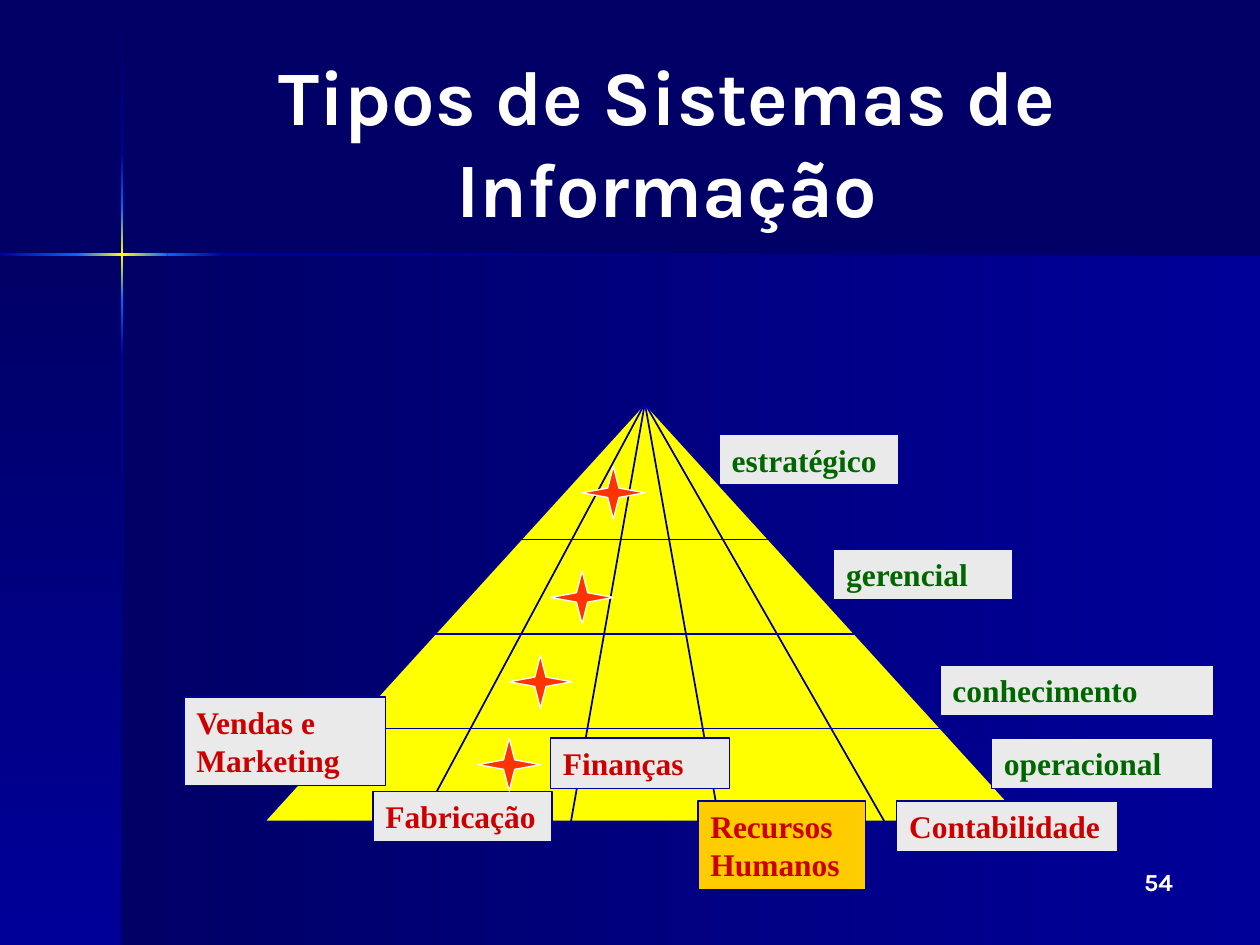
import copy
import itertools

import pptx
import pptx.dml.color
import pptx.enum.shapes
import pptx.enum.text
import pptx.oxml.ns
import pptx.util
from lxml import etree

Cm, Pt = pptx.util.Cm, pptx.util.Pt
RGBColor = pptx.dml.color.RGBColor
Shape = pptx.enum.shapes.MSO_SHAPE
Align, Anchor = pptx.enum.text.PP_ALIGN, pptx.enum.text.MSO_ANCHOR
AutoSize = pptx.enum.text.MSO_AUTO_SIZE

NAVY = RGBColor(0x00, 0x00, 0x66)
BLUE = RGBColor(0x00, 0x00, 0x99)
BRIGHT = RGBColor(0x00, 0x66, 0xFF)
YELLOW = RGBColor(0xFF, 0xFF, 0x00)
WHITE = RGBColor(0xFF, 0xFF, 0xFF)
GREY = RGBColor(0xEA, 0xEA, 0xEA)
GOLD = RGBColor(0xFF, 0xCC, 0x00)
RED = RGBColor(0xCC, 0x00, 0x00)
GREEN = RGBColor(0x00, 0x66, 0x00)
ORANGE = RGBColor(0xFF, 0x33, 0x00)

# Content; all lengths in centimetres
TITLE = "Tipos de Sistemas de Informação"
PAGE_NUMBER = "54"
WIDTH, HEIGHT = 25.4, 19.05
CROSS_X, CROSS_Y, BEAM = 2.46, 5.13, 0.05
BEAM_COLOURS = [(NAVY, BLUE), (BLUE, BRIGHT), (BRIGHT, YELLOW, BRIGHT),
                (BRIGHT, BLUE), (BLUE, NAVY)]
VERTICAL_STOPS = [0.03, 3.07, 4.19, 6.05, 7.16, HEIGHT]
HORIZONTAL_STOPS = [0, 1.55, 3.38, 4.5, WIDTH]

APEX_X, APEX_Y, BASE_Y, HALF_BASE = 13, 8.13, 16.56, 7.67
AREA_EDGES = [17.83, 14.5, 11.51, 8.48]
LEVEL_EDGES = [14.68, 12.78, 10.87]
ONE_LINE, TWO_LINES = 1.02, 1.78
LABELS = [  # text, left, top, width, height, fill, text colour
    ("Fabricação", 7.52, 15.95, 3.61, ONE_LINE, GREY, RED),
    ("Contabilidade", 18.08, 16.15, 4.45, ONE_LINE, GREY, RED),
    ("Finanças", 11.1, 14.88, 3.61, ONE_LINE, GREY, RED),
    ("Vendas e Marketing", 3.71, 14.05, 4.06, TWO_LINES, GREY, RED),
    ("Recursos Humanos", 14.07, 16.15, 3.38, TWO_LINES, GOLD, RED),
    ("estratégico", 14.5, 8.76, 3.61, ONE_LINE, GREY, GREEN),
    ("gerencial", 16.81, 11.07, 3.61, ONE_LINE, GREY, GREEN),
    ("conhecimento", 18.95, 13.41, 5.51, ONE_LINE, GREY, GREEN),
    ("operacional", 19.99, 14.88, 4.45, ONE_LINE, GREY, GREEN),
]
STARS = [(9.63, 14.88), (10.26, 13.21), (11.1, 11.51), (11.73, 9.4)]
STAR_SIZE = (1.27, 1.07)

deck = pptx.Presentation()
deck.slide_width, deck.slide_height = Cm(WIDTH), Cm(HEIGHT)
page = deck.slides.add_slide(deck.slide_layouts[5])
page.background.fill.solid()
page.background.fill.fore_color.rgb = NAVY


def add_shape(kind, place, fill=None, line=None, weight=0.75):
    shape = page.shapes.add_shape(kind, *map(Cm, place))
    shape.shadow.inherit = False
    if fill is not None:
        shape.fill.solid()
        shape.fill.fore_color.rgb = fill
    if line is None:
        shape.line.fill.background()
    else:
        shape.line.color.rgb = line
        shape.line.width = Pt(weight)
    return shape


def add_gradient(place, colours, downward):
    fill = add_shape(Shape.RECTANGLE, place).fill
    fill.gradient()
    fill.gradient_angle = 270 if downward else 0
    if len(colours) == 3:
        first = fill._fill._gradFill.gsLst[0]
        first.addnext(copy.deepcopy(first))
    for i, (stop, colour) in enumerate(zip(fill.gradient_stops, colours)):
        stop.position = i / (len(colours) - 1)
        stop.color.rgb = colour


def add_line(start, end, weight):
    line = page.shapes.add_connector(
        pptx.enum.shapes.MSO_CONNECTOR.STRAIGHT, *map(Cm, start + end))
    line.line.color.rgb = BLUE
    line.line.width = Pt(weight)
    etree.SubElement(line._element.spPr, pptx.oxml.ns.qn("a:effectLst"))


def write(box, text, size, font, colour, align=Align.LEFT, anchor=Anchor.TOP,
          auto_size=AutoSize.NONE):
    frame = box.text_frame
    frame.word_wrap = True
    frame.auto_size = auto_size
    frame.vertical_anchor = anchor
    para = frame.paragraphs[0]
    para.alignment = align
    span = para.add_run()
    span.text = text
    span.font.size, span.font.name, span.font.bold = Pt(size), font, True
    span.font.color.rgb = colour


# Background panels and the crossing beams
add_gradient((CROSS_X, CROSS_Y, WIDTH - CROSS_X, HEIGHT - CROSS_Y), (NAVY, BLUE), False)
add_gradient((0, CROSS_Y, CROSS_X, HEIGHT - CROSS_Y), (NAVY, BLUE), True)
for (top, bottom), colours in zip(itertools.pairwise(VERTICAL_STOPS), BEAM_COLOURS):
    add_gradient((CROSS_X - BEAM / 2, top, BEAM, bottom - top), colours, True)
for (left, right), colours in zip(itertools.pairwise(HORIZONTAL_STOPS), BEAM_COLOURS[1:]):
    add_gradient((left, CROSS_Y - BEAM / 2, right - left, BEAM), colours, False)

# Title and page number
title = page.shapes.title
title.left, title.top, title.width, title.height = map(Cm, (2.97, 0.84, 20.96, 3.99))
write(title, TITLE, 44, "Karla", WHITE, Align.CENTER, Anchor.BOTTOM)
number = page.shapes.add_textbox(*map(Cm, (18.62, 17.35, 5.28, 1.27)))
write(number, PAGE_NUMBER, 14, "Karla", WHITE, Align.RIGHT)

# Pyramid with area and level edges
add_shape(Shape.ISOSCELES_TRIANGLE,
          (APEX_X - HALF_BASE, APEX_Y, 2 * HALF_BASE, BASE_Y - APEX_Y), YELLOW, BLUE, 1)
for x in AREA_EDGES:
    add_line((APEX_X, APEX_Y), (x, BASE_Y), 1)
for y in LEVEL_EDGES:
    half = HALF_BASE * (y - APEX_Y) / (BASE_Y - APEX_Y)
    add_line((APEX_X - half, y), (APEX_X + half, y), 0.75)

# Labels and stars
for text, left, top, width, height, fill, colour in LABELS:
    label = add_shape(Shape.RECTANGLE, (left, top, width, height), fill, BLUE)
    write(label, text, 18, "Times New Roman", colour,
          auto_size=AutoSize.SHAPE_TO_FIT_TEXT)
for corner in STARS:
    add_shape(Shape.STAR_4_POINT, corner + STAR_SIZE, ORANGE, WHITE)

deck.save("out.pptx")
